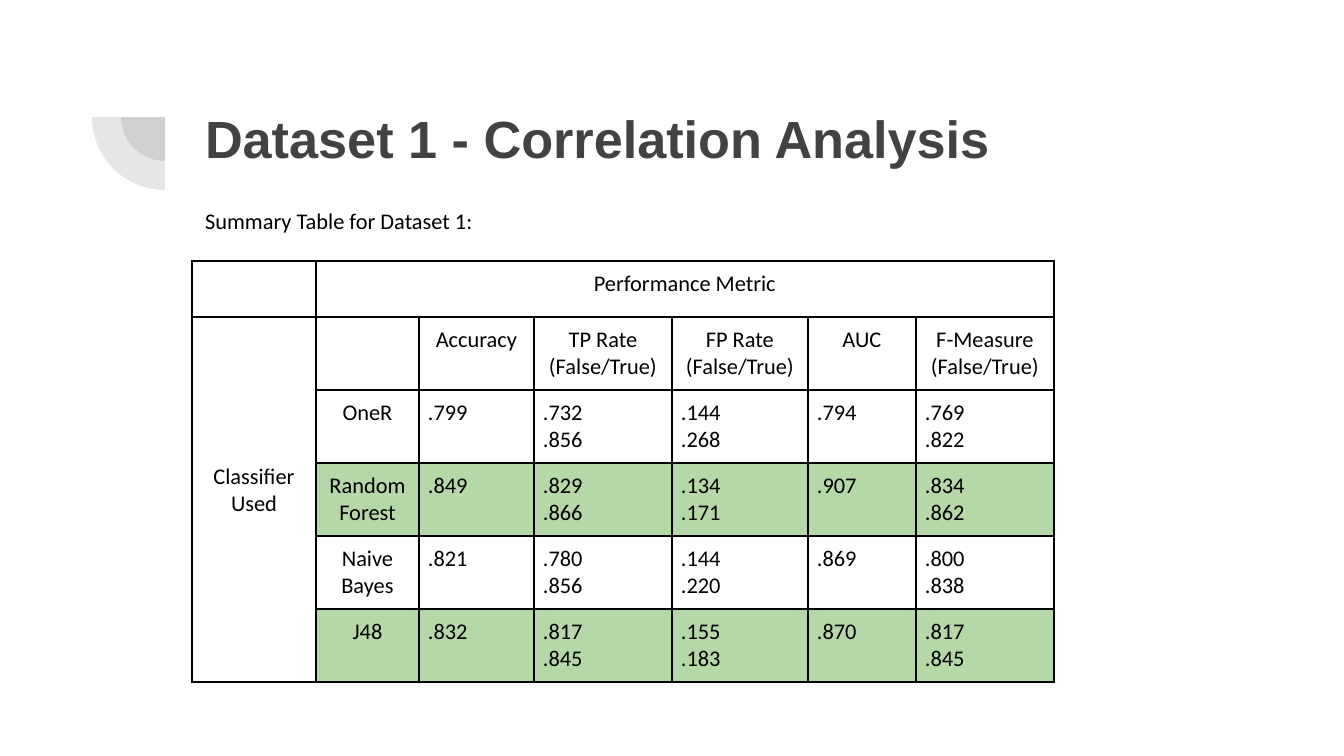
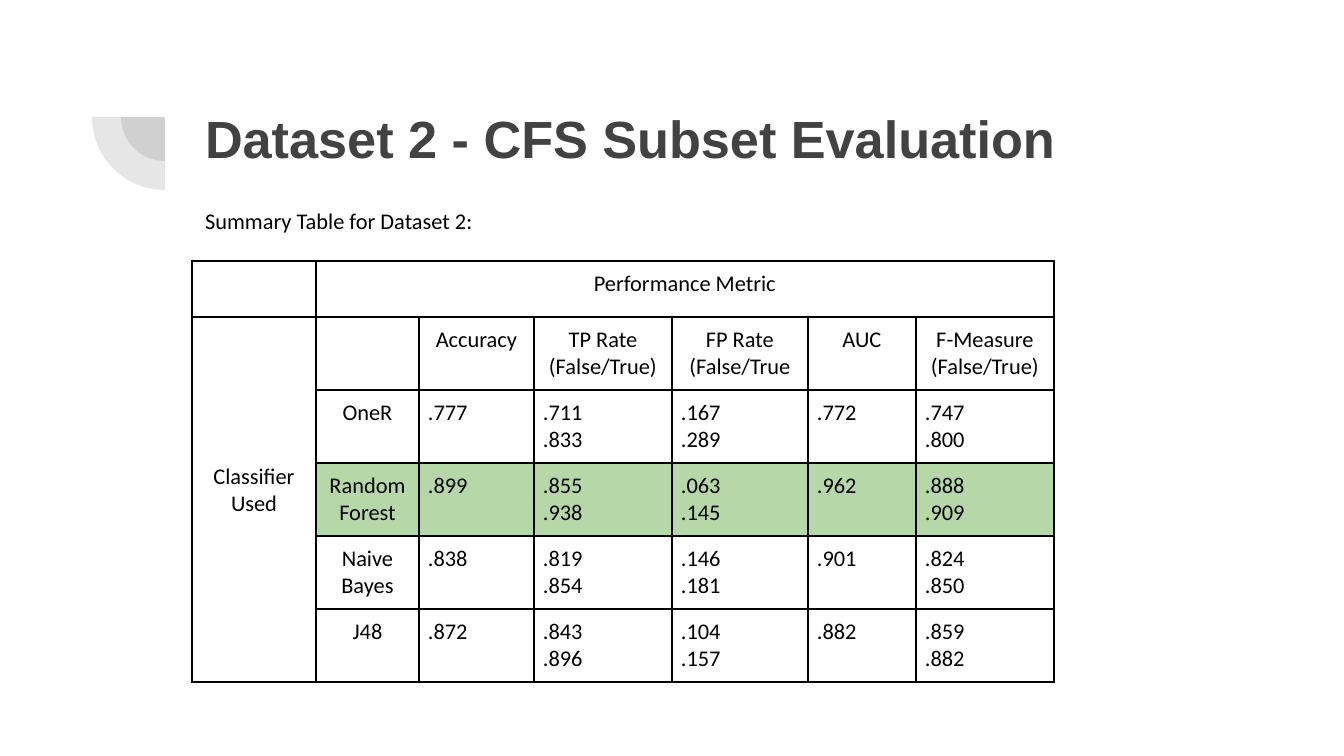
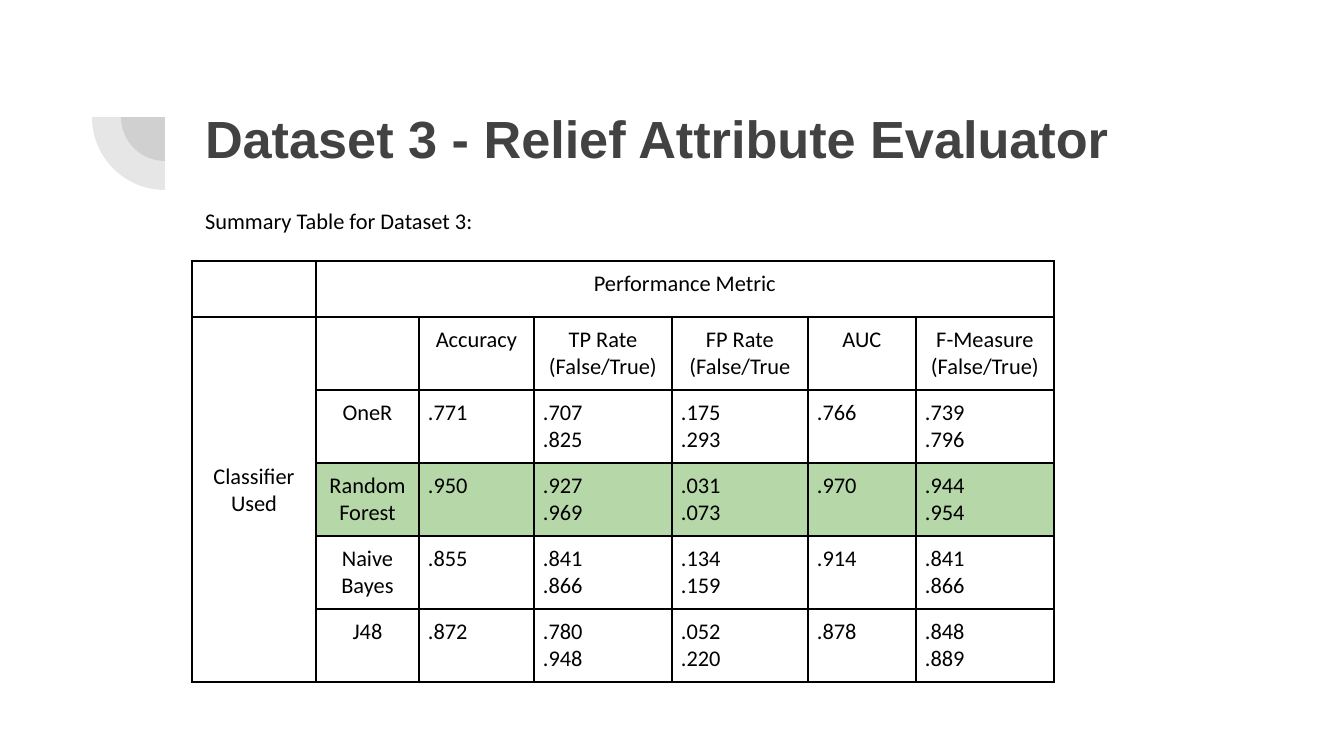
from dataclasses import dataclass

from lxml.etree import SubElement
from pptx import Presentation
from pptx.dml.color import RGBColor as RGB
from pptx.enum.shapes import MSO_SHAPE as Preset
from pptx.enum.text import MSO_ANCHOR as Anchor, PP_ALIGN as Align
from pptx.oxml.ns import qn
from pptx.util import Pt

SLIDE_WIDTH, SLIDE_HEIGHT = 1344, 756
EMU_PER_PX = 9144000 / SLIDE_WIDTH

CLASSIFIERS = ("OneR", "Random Forest", "Naive Bayes", "J48")
COLUMN_WIDTHS = (124, 103, 115, 138, 136, 108, 138)
TOP_ROW_HEIGHT, ROW_HEIGHT = 56, 73
FIRST_RESULT_ROW, FIRST_METRIC_COLUMN = 2, 2

DATASETS = (
    {
        "title": "Dataset 1 - Correlation Analysis",
        "fp_heading": "FP Rate\n(False/True)",
        "highlighted": ("Random Forest", "J48"),
        "results": (
            (".799", ".732 .856", ".144 .268", ".794", ".769 .822"),
            (".849", ".829 .866", ".134 .171", ".907", ".834 .862"),
            (".821", ".780 .856", ".144 .220", ".869", ".800 .838"),
            (".832", ".817 .845", ".155 .183", ".870", ".817 .845"),
        ),
    },
    {
        "title": "Dataset 2 - CFS Subset Evaluation",
        "fp_heading": "FP Rate\n(False/True",
        "highlighted": ("Random Forest",),
        "results": (
            (".777", ".711 .833", ".167 .289", ".772", ".747 .800"),
            (".899", ".855 .938", ".063 .145", ".962", ".888 .909"),
            (".838", ".819 .854", ".146 .181", ".901", ".824 .850"),
            (".872", ".843 .896", ".104 .157", ".882", ".859 .882"),
        ),
    },
    {
        "title": "Dataset 3 - Relief Attribute Evaluator",
        "fp_heading": "FP Rate\n(False/True",
        "highlighted": ("Random Forest",),
        "results": (
            (".771", ".707 .825", ".175 .293", ".766", ".739 .796"),
            (".950", ".927 .969", ".031 .073", ".970", ".944 .954"),
            (".855", ".841 .866", ".134 .159", ".914", ".841 .866"),
            (".872", ".780 .948", ".052 .220", ".878", ".848 .889"),
        ),
    },
)


@dataclass(frozen=True)
class TextStyle:
    """Font settings of one kind of text."""

    font: str
    size: int
    color: str
    bold: bool = False


@dataclass(frozen=True)
class Theme:
    """Colours and type sizes shared by all slides."""

    title: TextStyle = TextStyle("Arial", 28, "424242", True)
    body: TextStyle = TextStyle("Calibri", 12, "000000")
    ornament: str = "424242"
    ornament_alpha: int = 13000
    border: str = "000000"
    border_points: int = 1
    highlight: str = "B6D7A8"


def px(length):
    """Convert pixels to EMU."""
    return round(length * EMU_PER_PX)


class Deck:
    """Draws styled elements on the current slide."""

    def __init__(self, theme):
        """Start an empty presentation."""
        self.theme = theme
        self.presentation = Presentation()
        self.presentation.slide_width = px(SLIDE_WIDTH)
        self.presentation.slide_height = px(SLIDE_HEIGHT)
        self.slide = None

    def add_slide(self):
        """Add a blank slide with the corner ornament."""
        self.slide = self.presentation.slides.add_slide(self.presentation.slide_layouts[6])
        for radius in (44, 73):
            self.quarter_disc(165, 117, radius)

    def quarter_disc(self, center_x, center_y, radius):
        """Draw the lower left quarter of a translucent disc."""
        bounds = (center_x - radius, center_y - radius, 2 * radius, 2 * radius)
        shape = self.slide.shapes.add_shape(Preset.PIE, *map(px, bounds))
        shape.adjustments[0], shape.adjustments[1] = 108, 162
        shape.rotation = 270
        shape.shadow.inherit = False
        shape.line.fill.background()
        shape.fill.solid()
        shape.fill.fore_color.rgb = RGB.from_string(self.theme.ornament)
        color = next(shape.element.iter(qn("a:srgbClr")))
        SubElement(color, qn("a:alpha"), val=str(self.theme.ornament_alpha))

    def set_text(self, text_frame, text, style, align=Align.LEFT):
        """Fill a text frame, one paragraph a line."""
        text_frame.text = text
        text_frame.word_wrap = True
        for paragraph in text_frame.paragraphs:
            paragraph.alignment = align
            paragraph.font.name = style.font
            paragraph.font.size = Pt(style.size)
            paragraph.font.bold = style.bold
            paragraph.font.color.rgb = RGB.from_string(style.color)

    def text_box(self, text, style, bounds, margin_top=13):
        """Add a text box anchored at the top."""
        text_frame = self.slide.shapes.add_textbox(*map(px, bounds)).text_frame
        text_frame.vertical_anchor = Anchor.TOP
        text_frame.margin_left = text_frame.margin_right = text_frame.margin_bottom = px(13)
        text_frame.margin_top = px(margin_top)
        self.set_text(text_frame, text, style)

    def style_cell(self, cell, text, align, highlighted):
        """Style one table cell."""
        cell.margin_left = cell.margin_right = cell.margin_top = cell.margin_bottom = px(9)
        self.set_text(cell.text_frame, text, self.theme.body, align)
        properties = cell._tc.get_or_add_tcPr()
        for side in ("a:lnL", "a:lnR", "a:lnT", "a:lnB"):
            line = SubElement(properties, qn(side), w=str(Pt(self.theme.border_points)))
            fill = SubElement(line, qn("a:solidFill"))
            SubElement(fill, qn("a:srgbClr"), val=self.theme.border)
        if highlighted:
            cell.fill.solid()
            cell.fill.fore_color.rgb = RGB.from_string(self.theme.highlight)
        else:
            cell.fill.background()

    def results_table(self, left, top, fp_heading, highlighted, results):
        """Add the table of classifier results."""
        headings = ("Accuracy", "TP Rate\n(False/True)", fp_heading, "AUC", "F-Measure (False/True)")
        rows = [
            ("", "Performance Metric", "", "", "", "", ""),
            ("Classifier Used", "", *headings),
        ]
        for classifier, values in zip(CLASSIFIERS, results):
            rows.append(("", classifier, *(value.replace(" ", "\n") for value in values)))
        heights = (TOP_ROW_HEIGHT,) + (ROW_HEIGHT,) * (len(rows) - 1)
        bounds = (left, top, sum(COLUMN_WIDTHS), sum(heights))
        table = self.slide.shapes.add_table(len(rows), len(COLUMN_WIDTHS), *map(px, bounds)).table
        table.first_row = table.horz_banding = False
        for column, width in zip(table.columns, COLUMN_WIDTHS):
            column.width = px(width)
        for row, height in zip(table.rows, heights):
            row.height = px(height)
        for row_index, texts in enumerate(rows):
            for column_index, text in enumerate(texts):
                is_value = row_index >= FIRST_RESULT_ROW and column_index >= FIRST_METRIC_COLUMN
                self.style_cell(
                    table.cell(row_index, column_index),
                    text,
                    Align.LEFT if is_value else Align.CENTER,
                    column_index > 0 and texts[1] in highlighted,
                )
        table.cell(0, 1).merge(table.cell(0, len(COLUMN_WIDTHS) - 1))
        classifier_cell = table.cell(1, 0)
        classifier_cell.merge(table.cell(len(rows) - 1, 0))
        classifier_cell.margin_top = px(146)


def main():
    """Build one results slide for each dataset."""
    theme = Theme()
    deck = Deck(theme)
    for number, dataset in enumerate(DATASETS, start=1):
        deck.add_slide()
        deck.text_box(dataset["title"], theme.title, (192, 87, 1034, 146), margin_top=19)
        deck.text_box(f"Summary Table for Dataset {number}:", theme.body, (192, 194, 1034, 473))
        deck.results_table(192, 261, dataset["fp_heading"], dataset["highlighted"], dataset["results"])
    deck.presentation.save("out.pptx")


if __name__ == "__main__":
    main()
